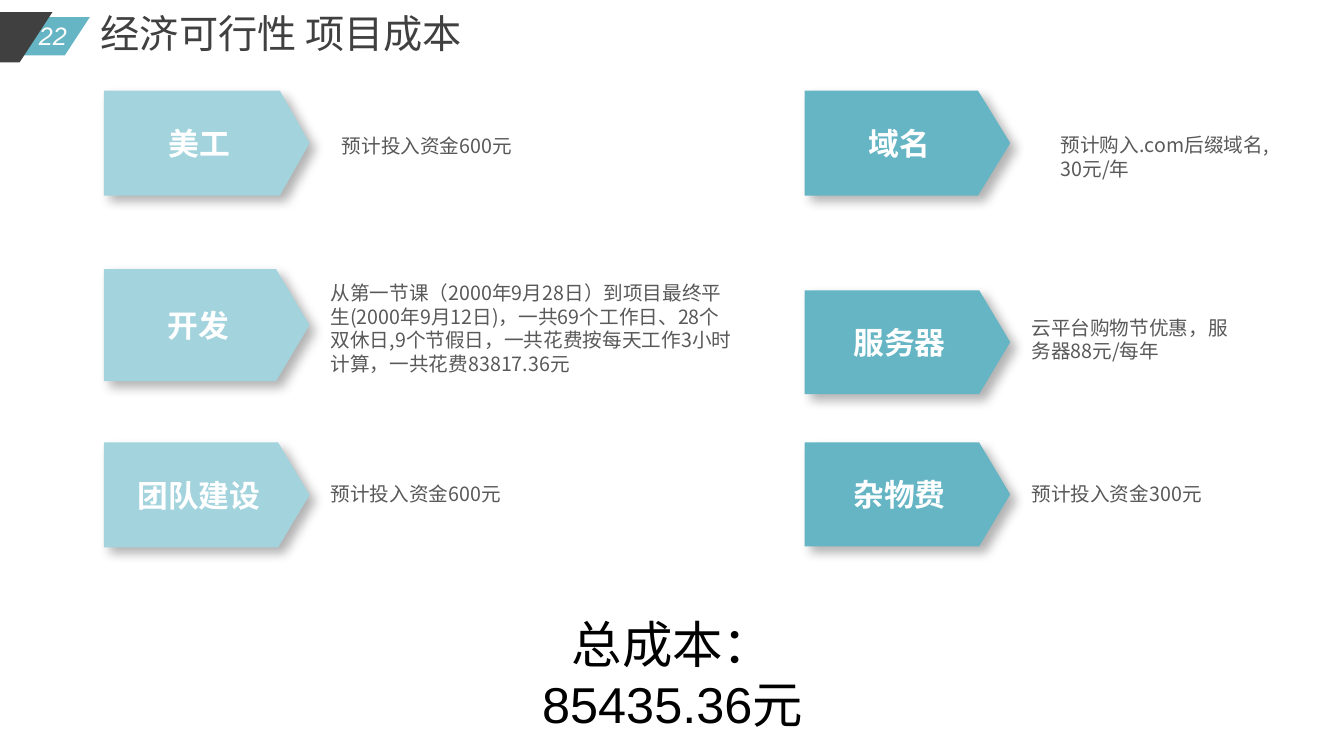
from pptx import Presentation
from pptx.util import Inches, Pt
from pptx.dml.color import RGBColor
from pptx.enum import shapes, text
from pptx.oxml import parse_xml
from pptx.oxml.ns import nsdecls
from lxml import etree

HUES = {"teal": "66B5C4", "pale": "A3D3DD", "dark": "404040",
        "grey": "595959", "white": "FFFFFF", "black": "000000"}
SANS = "Noto Sans CJK SC"
MID = text.PP_ALIGN.CENTER

deck = Presentation()
deck.slide_width, deck.slide_height = Inches(13.33), Inches(7.5)
page = deck.slides.add_slide(deck.slide_layouts[5])


def write(shape, lines, hue, size, face=SANS, align=None, pad=None, wrap=True,
          anchor=text.MSO_ANCHOR.TOP, space=None, **style):
    """Fill a shape with formatted paragraphs."""
    frame = shape.text_frame
    frame.text = lines
    frame.word_wrap = wrap
    frame.vertical_anchor = anchor
    frame.auto_size = text.MSO_AUTO_SIZE.NONE
    if pad is not None:
        for side in ("left", "top", "right", "bottom"):
            setattr(frame, "margin_" + side, pad)
    for par in frame.paragraphs:
        par.alignment, par.line_spacing = align, space
        for run in par.runs:
            look = {"size": Pt(size), "name": face, **style}
            for key, val in look.items():
                setattr(run.font, key, val)
            run.font.color.rgb = RGBColor.from_string(HUES[hue])
            east = etree.SubElement(run.font._element, "{http://schemas.openxmlformats.org/drawingml/2006/main}ea")
            east.set("typeface", SANS)


def block(kind, box, hue, adj):
    """Add a plain filled preset shape."""
    shape = page.shapes.add_shape(kind, *map(Inches, box))
    shape.adjustments[0] = adj
    shape.fill.solid()
    shape.fill.fore_color.rgb = RGBColor.from_string(HUES[hue])
    shape.line.fill.background()
    shape.shadow.inherit = False
    return shape


# Slanted page marker
for box, hue in (((-1.1, 0.17, 1.99, 0.38), "teal"), ((-2.08, 0.12, 2.6, 0.5), "dark")):
    block(shapes.MSO_SHAPE.PARALLELOGRAM, box, hue, 0.652)
num = page.shapes.add_textbox(*map(Inches, (0.27, 0.15, 0.51, 0.4)))
write(num, "22", "white", 18, "Arial", MID, wrap=False, italic=True)

# Title
title = page.shapes.title
title.left, title.top, title.width, title.height = map(Inches, (0.9, 0.04, 3.83, 0.57))
write(title, "经济可行性 项目成本", "dark", 28, align=text.PP_ALIGN.LEFT, wrap=False)

# Cost items: label, hue, left, top, height, point, note, note left, top, width, height
LEFT, RIGHT = 1.03, 7.98
COSTS = [
    ("美工", "pale", LEFT, 0.9, 1.04, 0.282, "预计投入资金600元", 3.39, 1.33, 2.04, 0.25),
    ("开发", "pale", LEFT, 2.67, 1.11, 0.299,
     "从第一节课（2000年9月28日）到项目最终平生(2000年9月12日)，一共69个工作日、28个双休日,"
     "9个节假日，一共花费按每天工作3小时计算，一共花费83817.36元", 3.28, 2.79, 4.02, 1.09),
    ("团队建设", "pale", LEFT, 4.39, 1.04, 0.299, "预计投入资金600元", 3.28, 4.78, 2.04, 0.25),
    ("域名", "teal", RIGHT, 0.9, 1.04, 0.307, "预计购入.com后缀域名,30元/年", 10.52, 1.32, 2.04, 0.53),
    ("服务器", "teal", RIGHT, 2.88, 1.03, 0.299, "云平台购物节优惠，服务器88元/每年", 10.23, 3.13, 2.04, 0.53),
    ("杂物费", "teal", RIGHT, 4.39, 1.03, 0.299, "预计投入资金300元", 10.23, 4.78, 2.04, 0.25),
]
SHADE = (f'<a:effectLst {nsdecls("a")}><a:outerShdw blurRad="{Pt(8)}" dist="{Pt(6)}" dir="2700000" '
         'algn="tl" rotWithShape="0"><a:srgbClr val="000000"><a:alpha val="30000"/></a:srgbClr>'
         '</a:outerShdw></a:effectLst>')
for label, hue, x, y, high, adj, note, *spot in COSTS:
    tag = block(shapes.MSO_SHAPE.PENTAGON, (x, y, 2.04, high), hue, adj)
    props = tag._element.spPr
    props.replace(props.find("{*}effectLst"), parse_xml(SHADE))
    write(tag, label, "white", 22, align=MID, anchor=text.MSO_ANCHOR.MIDDLE, bold=True)
    memo = page.shapes.add_textbox(*map(Inches, spot))
    write(memo, note, "grey", 14, pad=0, space=1.0)

# Total
total = page.shapes.add_textbox(*map(Inches, (4.66, 6.03, 4.02, 1.31)))
write(total, "总成本：\n85435.36元", "black", 36, "Arial", MID)

deck.save("out.pptx")
